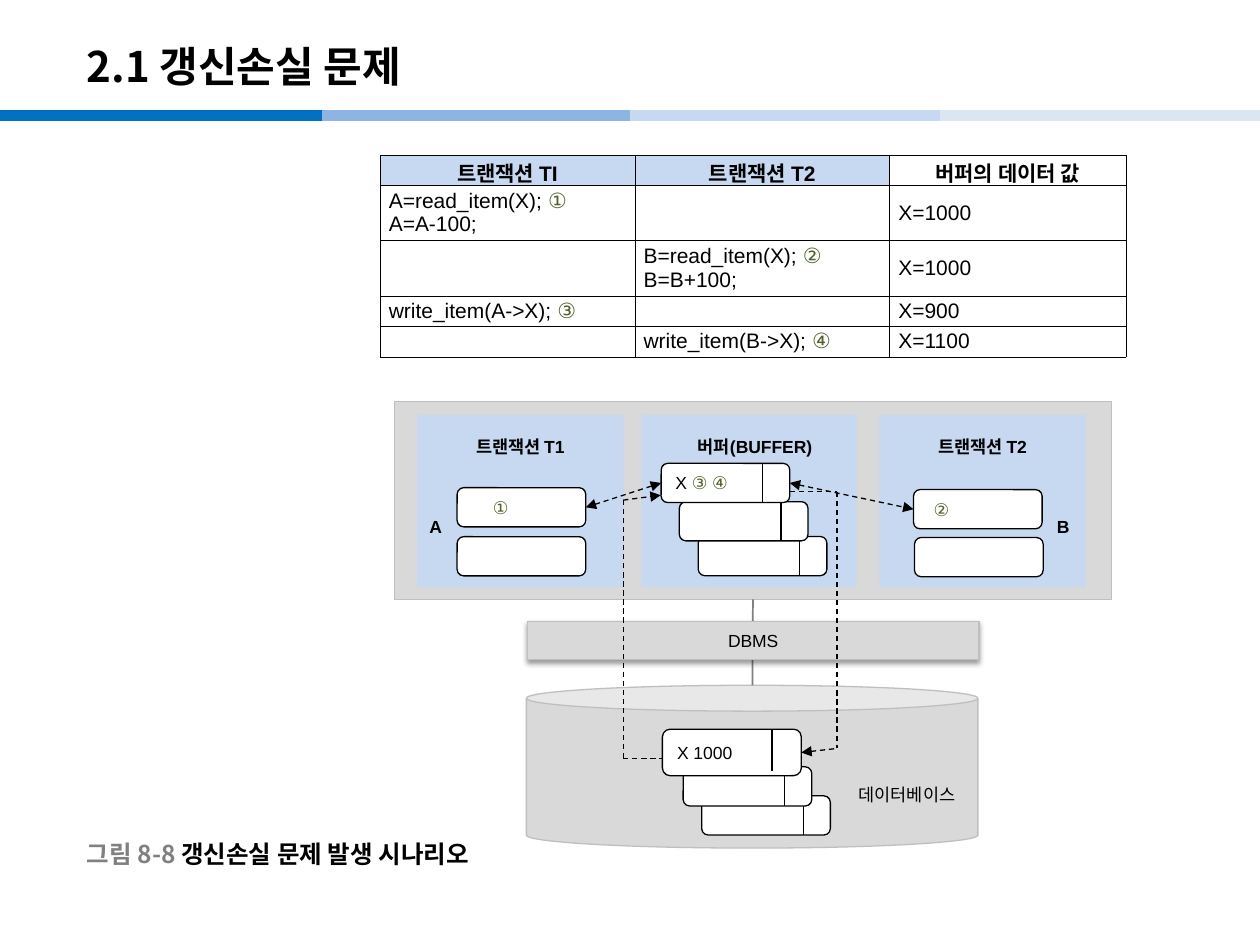
import pptx
import pptx.util
from lxml import etree
from pptx.dml.color import RGBColor
from pptx.enum.dml import MSO_LINE
from pptx.enum.shapes import MSO_CONNECTOR, MSO_SHAPE
from pptx.enum.text import MSO_ANCHOR, PP_ALIGN
from pptx.oxml.ns import qn

Pt = pptx.util.Pt

# Content: text is a list of lines, each line a list of (text, colour) runs
BLACK, GREEN, GRAY, BLUE, WHITE = "000000", "4F6228", "D9D9D9", "C6D9F1", "FFFFFF"
EDGE = "BFBFBF"
LATIN, KOREAN = "Arial", "Noto Sans CJK KR"
TITLE = "2.1 갱신손실 문제"
CAPTION = [("그림 8-8 ", "808080"), ("갱신손실 문제 발생 시나리오", BLACK)]
BANDS = [(0, "0070C0"), (184, "8EB4E3"), (360, BLUE), (537, "DCE6F2")]
HEADER = ["트랜잭션 TI", "트랜잭션 T2", "버퍼의 데이터 값"]
ROWS = [
    ([[("A=read_item(X); ", BLACK), ("①", GREEN)], [("A=A-100;", BLACK)]],
     [], [[("X=1000", BLACK)]]),
    ([], [[("B=read_item(X); ", BLACK), ("②", GREEN)], [("B=B+100;", BLACK)]],
     [[("X=1000", BLACK)]]),
    ([[("write_item(A->X); ", BLACK), ("③", GREEN)]], [], [[("X=900", BLACK)]]),
    ([], [[("write_item(B->X); ", BLACK), ("④", GREEN)]], [[("X=1100", BLACK)]]),
]
COL_WIDTHS = [145.6, 145.6, 135]
ROW_HEIGHTS = [17.2, 31.4, 31.4, 17.5, 17.4]
# Panels: label, left, width, left inset
PANELS = [("버퍼(BUFFER)", 366.5, 123, 14), ("트랜잭션 T2", 502.5, 118, 7.2),
          ("트랜잭션 T1", 238.3, 118, 7.2)]
RECORD = (73.5, 22.4)
# Stacked records with a divider: left, top
STACK = [(399, 306.6), (388.2, 286.7), (401, 454.8), (390.4, 438.2)]

prs = pptx.Presentation()
prs.slide_width, prs.slide_height = Pt(720), Pt(540)
s = prs.slides.add_slide(prs.slide_layouts[5])


def rgb(value):
    return RGBColor.from_string(value)


def style(run, size, color, bold, font=LATIN):
    run.font.name, run.font.size, run.font.bold = font, Pt(size), bold
    run.font.color.rgb = rgb(color)
    etree.SubElement(run._r.get_or_add_rPr(), qn("a:ea"), typeface=KOREAN)


def write(tf, lines, size=10, bold=False, align=PP_ALIGN.LEFT, font=LATIN):
    for i, line in enumerate(lines):
        p = tf.add_paragraph() if i else tf.paragraphs[0]
        p.alignment = align
        for text, color in line:
            r = p.add_run()
            r.text = text
            style(r, size, color, bold, font)


def add_box(kind, x, y, w, h, fill, line=None, width=0.75):
    sp = s.shapes.add_shape(kind, Pt(x), Pt(y), Pt(w), Pt(h))
    sp.shadow.inherit = False
    sp.fill.solid()
    sp.fill.fore_color.rgb = rgb(fill)
    if line:
        sp.line.color.rgb, sp.line.width = rgb(line), Pt(width)
    else:
        sp.line.fill.background()
    sp.text_frame.vertical_anchor = MSO_ANCHOR.MIDDLE
    return sp


def add_text(x, y, w, h, runs, **fmt):
    tf = s.shapes.add_textbox(Pt(x), Pt(y), Pt(w), Pt(h)).text_frame
    tf.word_wrap = True
    write(tf, [runs], **fmt)
    return tf


def add_line(x1, y1, x2, y2, color=BLACK, width=0.75, dash=False, ends=(),
             start=None, stop=None):
    c = s.shapes.add_connector(MSO_CONNECTOR.STRAIGHT, Pt(x1), Pt(y1), Pt(x2), Pt(y2))
    if start:
        c.begin_connect(*start)
    if stop:
        c.end_connect(*stop)
    c.line.color.rgb, c.line.width = rgb(color), Pt(width)
    if dash:
        c.line.dash_style = MSO_LINE.DASH
    for end in ends:
        etree.SubElement(c.line._get_or_add_ln(), qn(f"a:{end}"), type="triangle")
    etree.SubElement(c._element.spPr, qn("a:effectLst"))
    return c


def add_record(x, y, runs=(), inset=7.2, size=RECORD, divided=False):
    w, h = size
    sp = add_box(MSO_SHAPE.ROUNDED_RECTANGLE, x, y, w, h, WHITE, BLACK)
    sp.text_frame.margin_left = Pt(inset)
    if runs:
        write(sp.text_frame, [runs])
    if divided:
        add_line(x + 0.79 * w, y + 0.5, x + 0.79 * w, y + min(h, 24))
    return sp


# Title and colour bands
for x, color in BANDS:
    add_line(x, 66, min(x + 184, 720), 66, color, 6)
title = s.shapes.title
title.left, title.top, title.width, title.height = Pt(42.5), Pt(16), Pt(595), Pt(43)
title.text_frame.text = TITLE
title.text_frame.vertical_anchor = MSO_ANCHOR.MIDDLE
p = title.text_frame.paragraphs[0]
p.alignment = PP_ALIGN.LEFT
style(p.runs[0], 24, BLACK, True, KOREAN)

# Frame, database and DBMS
frame = add_box(MSO_SHAPE.RECTANGLE, 225.4, 229.5, 409.7, 113, GRAY, EDGE, 0.5)
database = add_box(MSO_SHAPE.CAN, 300.8, 391.6, 258, 93, GRAY, EDGE)
database.adjustments[0] = 0.159
add_line(430, 342.5, 430, 391.6, "808080", 1, start=(frame, 2))
dbms = add_box(MSO_SHAPE.RECTANGLE, 301.4, 355, 258, 22, GRAY, EDGE)
write(dbms.text_frame, [[("DBMS", BLACK)]], align=PP_ALIGN.CENTER)
effects = dbms._element.spPr.find(qn("a:effectLst"))
shadow = etree.SubElement(effects, qn("a:outerShdw"), blurRad=str(Pt(3.1)),
                          dist=str(Pt(1.6)), dir="5400000", rotWithShape="0")
shade = etree.SubElement(shadow, qn("a:srgbClr"), val=BLACK)
etree.SubElement(shade, qn("a:alpha"), val="38000")
add_text(479, 444.2, 78.5, 32, [("데이터베이스", BLACK)], align=PP_ALIGN.CENTER)

# Panels
for label, x, w, inset in PANELS:
    tf = add_box(MSO_SHAPE.RECTANGLE, x, 237, w, 98.5, BLUE).text_frame
    tf.vertical_anchor = MSO_ANCHOR.TOP
    tf.margin_top, tf.margin_left = Pt(12), Pt(inset)
    write(tf, [[(label, BLACK)]], bold=True, align=PP_ALIGN.CENTER)

# Records
for x, y in STACK:
    add_record(x, y, divided=True)
record_a = add_record(261.2, 278.7, [("①", GREEN)], 19.4)
add_record(261.2, 306.7)
record_b = add_record(522, 279.8, [("②", GREEN)], 10.5)
add_record(522.6, 307.2)
stored = add_record(378.5, 416.7, [("X 1000", BLACK)], size=(79.4, 26.6), divided=True)
buffered = add_record(377.8, 264.8, [("X ", BLACK), ("③ ④", GREEN)], divided=True)
add_text(238.3, 291.6, 22, 19.4, [("A", BLACK)], bold=True)
add_text(596.9, 291.6, 22, 19.4, [("B", BLACK)], bold=True)

# Transaction arrows, then the database read and write paths
both = ("headEnd", "tailEnd")
add_line(334.7, 290, 377.8, 276, dash=True, ends=both,
         start=(record_a, 3), stop=(buffered, 1))
add_line(451.3, 276, 522, 291, dash=True, ends=both,
         start=(buffered, 3), stop=(record_b, 1))
add_line(356.2, 285.8, 377.6, 283, dash=True, ends=["tailEnd"])
add_line(356.2, 285.8, 356.2, 433.5, dash=True)
add_line(356.2, 433.5, 378.5, 433.5, dash=True)
add_line(451.3, 281, 478.3, 281, dash=True)
add_line(478.3, 281, 478.3, 427.7, dash=True)
add_line(457.9, 430, 478.3, 427.7, dash=True, ends=["headEnd"], start=(stored, 3))

# Table
table = s.shapes.add_table(len(ROWS) + 1, 3, Pt(217.2), Pt(88.6),
                           Pt(sum(COL_WIDTHS)), Pt(sum(ROW_HEIGHTS))).table
for col, width in zip(table.columns, COL_WIDTHS):
    col.width = Pt(width)
for row, height in zip(table.rows, ROW_HEIGHTS):
    row.height = Pt(height)
for i, row in enumerate([[[[(text, BLACK)]] for text in HEADER], *ROWS]):
    for j, lines in enumerate(row):
        cell = table.cell(i, j)
        cell.margin_left = cell.margin_right = Pt(5)
        cell.margin_top = cell.margin_bottom = Pt(1.4)
        cell.vertical_anchor = MSO_ANCHOR.MIDDLE
        tc_pr = cell._tc.get_or_add_tcPr()
        for side in ("lnL", "lnR", "lnT", "lnB"):
            ln = etree.SubElement(tc_pr, qn(f"a:{side}"), w=str(Pt(0.28)))
            fill = etree.SubElement(ln, qn("a:solidFill"))
            etree.SubElement(fill, qn("a:srgbClr"), val=BLACK)
        cell.fill.solid()
        cell.fill.fore_color.rgb = rgb(BLUE if i == 0 and j < 2 else WHITE)
        write(cell.text_frame, lines, 12, i == 0,
              PP_ALIGN.JUSTIFY if i else PP_ALIGN.CENTER)
        if not lines:
            etree.SubElement(cell.text_frame.paragraphs[0]._p, qn("a:endParaRPr"), sz="1200")

# Caption
tf = add_text(42.5, 476.6, 250, 22.3, CAPTION, size=14, bold=True, font=KOREAN)
tf.vertical_anchor = MSO_ANCHOR.MIDDLE

prs.save("out.pptx")
